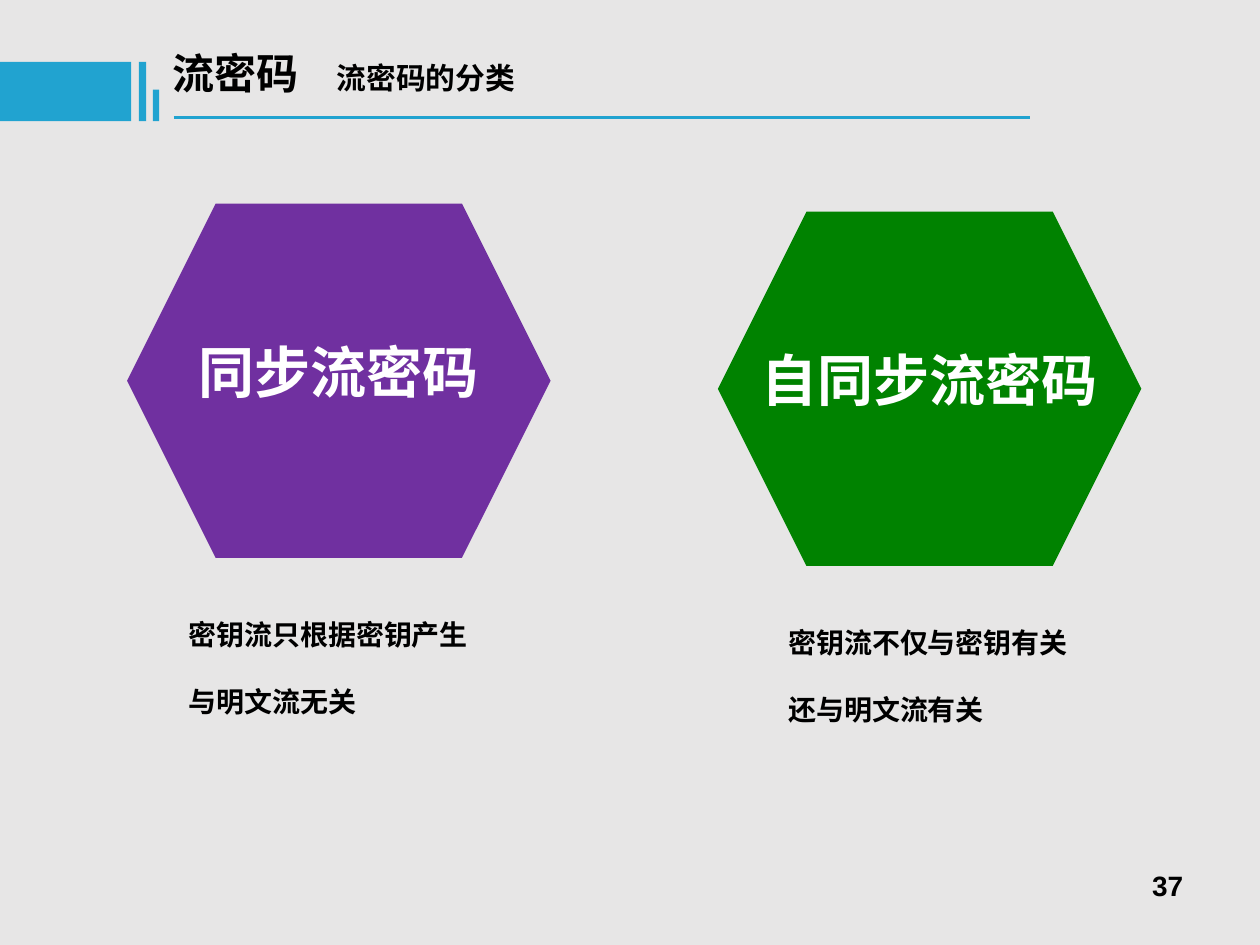
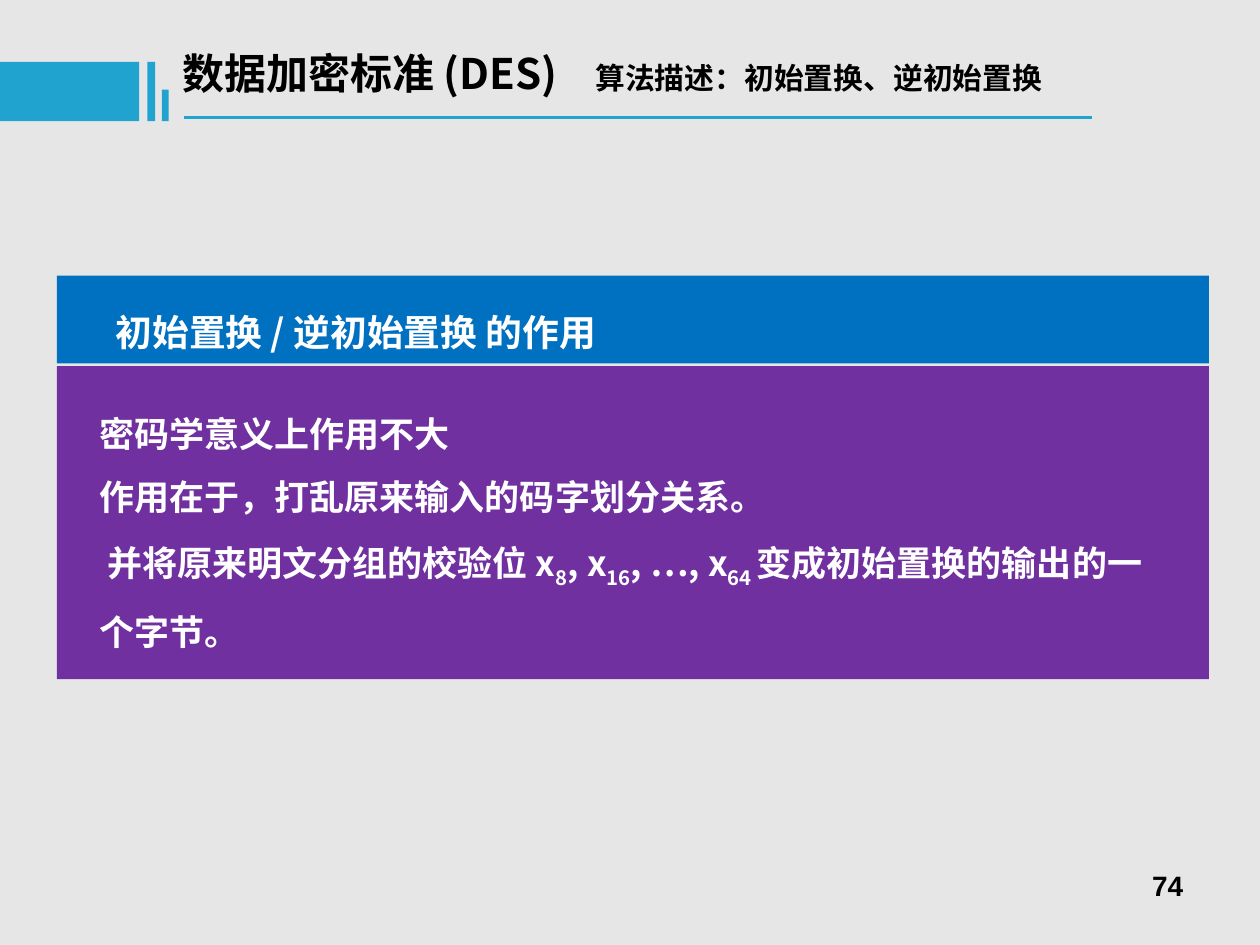
from pptx import Presentation
from pptx.dml.color import RGBColor
from pptx.enum.shapes import MSO_CONNECTOR as Connector, MSO_SHAPE as Shape
from pptx.enum.text import PP_ALIGN as Align
from pptx.oxml.ns import qn
from pptx.util import Pt
from lxml.etree import SubElement

BACKGROUND = RGBColor(0xE7, 0xE6, 0xE6)
ACCENT = RGBColor(0x21, 0xA3, 0xD0)
PURPLE = RGBColor(0x70, 0x30, 0xA0)
GREEN = RGBColor(0x00, 0x82, 0x00)
BLUE = RGBColor(0x00, 0x70, 0xC0)
BLACK = RGBColor(0, 0, 0)
WHITE = RGBColor(255, 255, 255)
CJK_FONT = "Noto Sans CJK SC"
NUMBER_FONT = "Arial"

# Header: topic, subtopic, tab before the subtopic, title width, band scale
CIPHER_HEADER = dict(topic="流密码", subtopic="流密码的分类",
                     tab=93.6, title_width=492.5, scale=1)
DES_HEADER = dict(topic="数据加密标准 (DES)", subtopic="算法描述：初始置换、逆初始置换",
                  tab=236, title_width=606, scale=1.06)
BAND_BARS = [(0, 35.3, 75), (79.4, 35.3, 4.2), (87.3, 51.2, 3.6)]  # left, top, width
BAND_BOTTOM = 69.3

CIPHER_KINDS = [
    dict(name="同步流密码", color=PURPLE, left=72.6, top=116.4, note_indent=28.2,
         notes=["密钥流只根据密钥产生", "与明文流无关"]),
    dict(name="自同步流密码", color=GREEN, left=410.2, top=121, note_indent=33.3,
         notes=["密钥流不仅与密钥有关", "还与明文流有关"]),
]
HEXAGON_WIDTH, HEXAGON_HEIGHT = 242, 202.4
NAME_SIZE = 32

PURPOSE_TITLE = "初始置换 / 逆初始置换 的作用"
PURPOSES = [
    "密码学意义上作用不大",
    "作用在于，打乱原来输入的码字划分关系。",
    ["并将原来明文分组的校验位 x", ("8", {"baseline": -25}), ", x", ("16", {"baseline": -25}),
     ", …, x", ("64 ", {"baseline": -25}), "变成初始置换的输出的一个字节。"],
]
PANEL_LEFT, PANEL_WIDTH = 32.6, 658.2


def add_run(paragraph, text, size, color, font=CJK_FONT, baseline=0):
    run = paragraph.add_run()
    run.text = text
    run.font.size, run.font.bold = Pt(size), True
    run.font.color.rgb = color
    run.font.name = font
    properties = run.font._element
    SubElement(properties, qn("a:ea")).set("typeface", font)
    if baseline:
        properties.set("baseline", str(baseline * 1000))


def add_text(slide, paragraphs, left, top, width, height, *, size, color=BLACK, font=CJK_FONT,
             align=Align.LEFT, spacing=None, wrap=True, inset=(7.2, 3.6), tab=None, indents=()):
    """Each paragraph is a string or a list of strings and (string, run format) pairs."""
    box = slide.shapes.add_textbox(Pt(left), Pt(top), Pt(width), Pt(height))
    frame = box.text_frame
    frame.word_wrap = wrap
    frame.margin_left = frame.margin_right = Pt(inset[0])
    frame.margin_top = frame.margin_bottom = Pt(inset[1])
    for index, parts in enumerate(paragraphs):
        paragraph = frame.add_paragraph() if index else frame.paragraphs[0]
        paragraph.alignment = align
        if spacing:
            paragraph.line_spacing = spacing
        properties = paragraph._p.get_or_add_pPr()
        if tab:
            stops = SubElement(properties, qn("a:tabLst"))
            SubElement(stops, qn("a:tab"), pos=str(Pt(tab)), algn="l")
        if index < len(indents):
            properties.set("indent", str(Pt(indents[index])))
        for part in [parts] if isinstance(parts, str) else parts:
            text, changes = (part, {}) if isinstance(part, str) else part
            add_run(paragraph, text, **{"size": size, "color": color, "font": font, **changes})


def add_block(slide, kind, color, left, top, width, height):
    block = slide.shapes.add_shape(kind, Pt(left), Pt(top), Pt(width), Pt(height))
    block.shadow.inherit = False
    block.fill.solid()
    block.fill.fore_color.rgb = color
    block.line.fill.background()


def add_header(slide, topic, subtopic, tab, title_width, scale):
    add_text(slide, [[topic + "\t", (subtopic, {"size": 17})]],
             91.6 * scale, 23.8, title_width, 56.9, size=24, tab=tab)
    for left, top, width in BAND_BARS:
        add_block(slide, Shape.RECTANGLE, ACCENT, left * scale, top, width * scale,
                  BAND_BOTTOM - top)
    rule = slide.shapes.add_connector(Connector.STRAIGHT, Pt(99.4 * scale), Pt(67),
                                      Pt(588.8 * scale), Pt(67))
    rule.line.color.rgb = ACCENT
    rule.line.width = Pt(1.5)
    SubElement(rule._element.spPr, qn("a:effectLst"))


def add_slide(deck, number, header):
    slide = deck.slides.add_slide(deck.slide_layouts[6])
    slide.background.fill.solid()
    slide.background.fill.fore_color.rgb = BACKGROUND
    add_text(slide, [str(number)], 516, 491.8, 168, 37.4, size=16, font=NUMBER_FONT,
             align=Align.RIGHT, inset=(7.9, 4.3))
    add_header(slide, **header)
    return slide


def add_cipher_kind(slide, name, color, left, top, note_indent, notes):
    add_block(slide, Shape.HEXAGON, color, left, top, HEXAGON_WIDTH, HEXAGON_HEIGHT)
    name_width = len(name) * NAME_SIZE + 14.4
    add_text(slide, [name], left + (HEXAGON_WIDTH - name_width) / 2, top + 73, name_width, 46,
             size=NAME_SIZE, color=WHITE, align=Align.CENTER, wrap=False)
    add_text(slide, notes, left + note_indent, top + 213.6, 191.5, 84.2, size=16, spacing=2)


def add_purpose_panel(slide):
    add_block(slide, Shape.RECTANGLE, PURPLE, PANEL_LEFT, 209.2, PANEL_WIDTH, 178.9)
    add_text(slide, PURPOSES, 49.7, 220.3, 628.6, 180, size=20, color=WHITE, spacing=1.5,
             indents=(0, 0, 4.5))
    add_block(slide, Shape.RECTANGLE, BLUE, PANEL_LEFT, 157.5, PANEL_WIDTH, 50.2)
    add_text(slide, [PURPOSE_TITLE], 59, 160.6, 606, 45.4, size=21, color=WHITE, spacing=1.5)


def main():
    deck = Presentation()
    deck.slide_width, deck.slide_height = Pt(720), Pt(540)
    cipher_slide = add_slide(deck, 37, CIPHER_HEADER)
    for kind in CIPHER_KINDS:
        add_cipher_kind(cipher_slide, **kind)
    add_purpose_panel(add_slide(deck, 74, DES_HEADER))
    deck.save("out.pptx")


if __name__ == "__main__":
    main()
